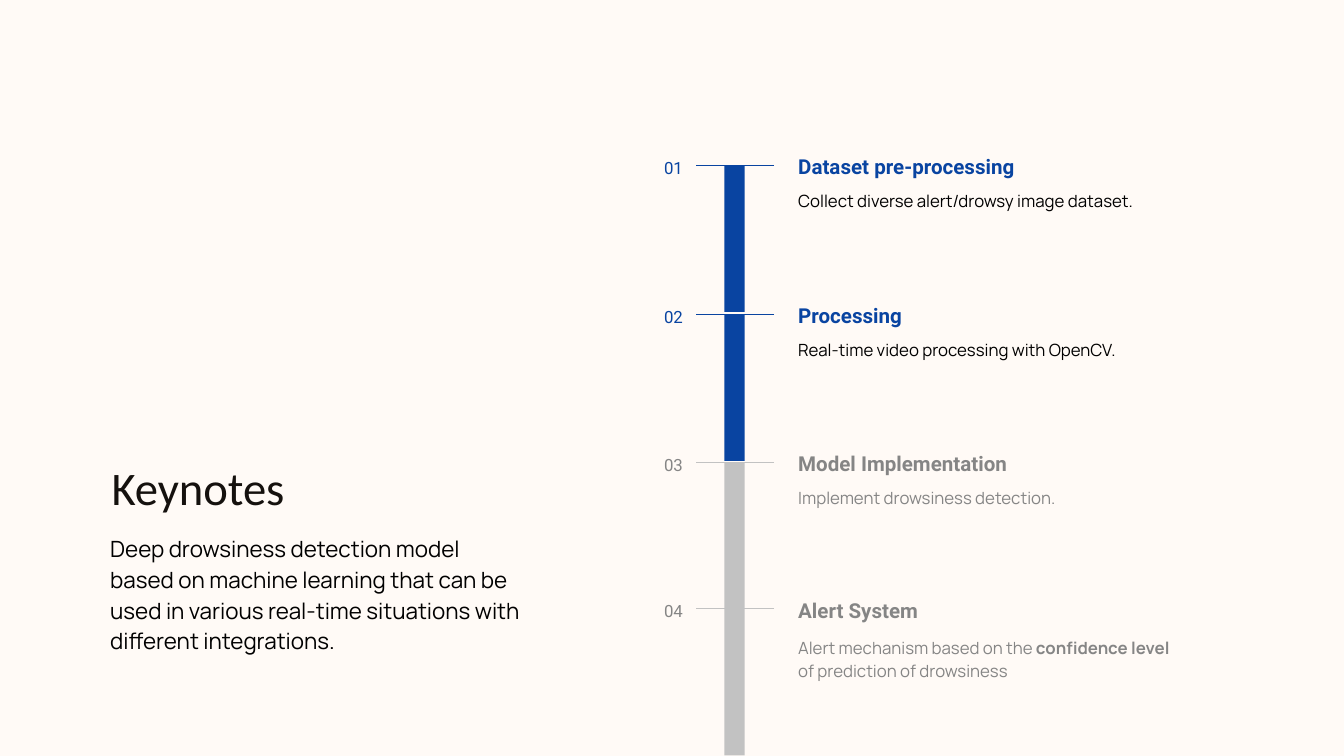
from pptx import Presentation
from pptx import util as u
from pptx.dml import color
from pptx.enum import shapes, text
from pptx.oxml import ns
from lxml import etree

WIDE = 10
INK, BLUE, GREY, PALE = "000000", "0944A1", "858585", "C2C2C2"
STEPS = [
    (1.23, "Dataset pre-processing",
     [("Collect diverse alert/drowsy image dataset.", False)], True),
    (2.34, "Processing",
     [("Real-time video processing with OpenCV.", False)], True),
    (3.44, "Model Implementation",
     [("Implement drowsiness detection.", False)], False),
    (4.53, "Alert System",
     [("Alert mechanism based on the ", False), ("confidence level", True),
      (" of prediction of drowsiness", False)], False),
]


def rgb(code):
    return color.RGBColor.from_string(code)


def box(*dims):
    return [u.Inches(n) for n in dims]


def write(shape, runs, size, font, code, align="LEFT", anchor="TOP", space=1.0):
    frame = shape.text_frame
    frame.word_wrap = True
    frame.auto_size = text.MSO_AUTO_SIZE.NONE
    frame.vertical_anchor = getattr(text.MSO_ANCHOR, anchor)
    frame.margin_left = frame.margin_right = u.Inches(0.1)
    frame.margin_top = frame.margin_bottom = u.Inches(0.1)
    para = frame.paragraphs[0]
    para.alignment = getattr(text.PP_ALIGN, align)
    para.line_spacing = space
    para.space_before = u.Pt(0)
    for words, bold in runs:
        run = para.add_run()
        run.text = words
        run.font.size = u.Pt(size)
        run.font.name = font
        run.font.bold = bold
        run.font.color.rgb = rgb(code)


def label(slide, dims, runs, size, font, code, **style):
    write(slide.shapes.add_textbox(*box(*dims)), runs, size, font, code, **style)


def bar(slide, dims, code):
    shape = slide.shapes.add_shape(shapes.MSO_SHAPE.RECTANGLE, *box(*dims))
    shape.shadow.inherit = False
    shape.fill.solid()
    shape.fill.fore_color.rgb = rgb(code)
    shape.line.fill.background()


def tick(slide, ends, code):
    line = slide.shapes.add_connector(shapes.MSO_CONNECTOR.STRAIGHT, *box(*ends))
    line.line.color.rgb = rgb(code)
    line.line.width = u.Pt(0.75)
    etree.SubElement(line._element.spPr, ns.qn("a:effectLst"))


def step(slide, num, top, title, runs, done):
    mark, head, body = (BLUE, BLUE, INK) if done else (PALE, GREY, GREY)
    bar(slide, (5.39, top, 0.15, 1.09), mark)
    tick(slide, (5.76, top, 5.18, top), mark)
    label(slide, (5.84, top - 0.21, 2.98, 0.3), [(title, True)],
          11, "Roboto", head, space=1.15)
    label(slide, (5.84, top + 0.09, 2.98, 0.45), runs, 9, "Manrope", body,
          space=1.15 if len(runs) > 1 else 1.0)
    label(slide, (4.35, top - 0.18, 0.83, 0.38), [(f"{num:02}", False)],
          9, "Roboto", head, align="RIGHT", space=1.15)


def place(shape, dims):
    shape.left, shape.top, shape.width, shape.height = box(*dims)


def main():
    deck = Presentation()
    deck.slide_width, deck.slide_height = box(WIDE, WIDE * 9 / 16)
    slide = deck.slides.add_slide(deck.slide_layouts[0])
    slide.background.fill.solid()
    slide.background.fill.fore_color.rgb = rgb("FFFAF6")

    title, body = slide.placeholders
    place(title, (0.73, 3.43, 2.72, 0.5))
    write(title, [("Keynotes", False)], 25, "Calibri", "15110E", anchor="BOTTOM")
    place(body, (0.72, 3.85, 3.28, 1.33))
    write(body, [("Deep drowsiness detection model based on machine learning "
                  "that can be used in various real-time situations with "
                  "different integrations.", False)],
          12, "Manrope", INK, space=1.15)

    for num, item in enumerate(STEPS, 1):
        step(slide, num, *item)
    deck.save("out.pptx")


if __name__ == "__main__":
    main()
